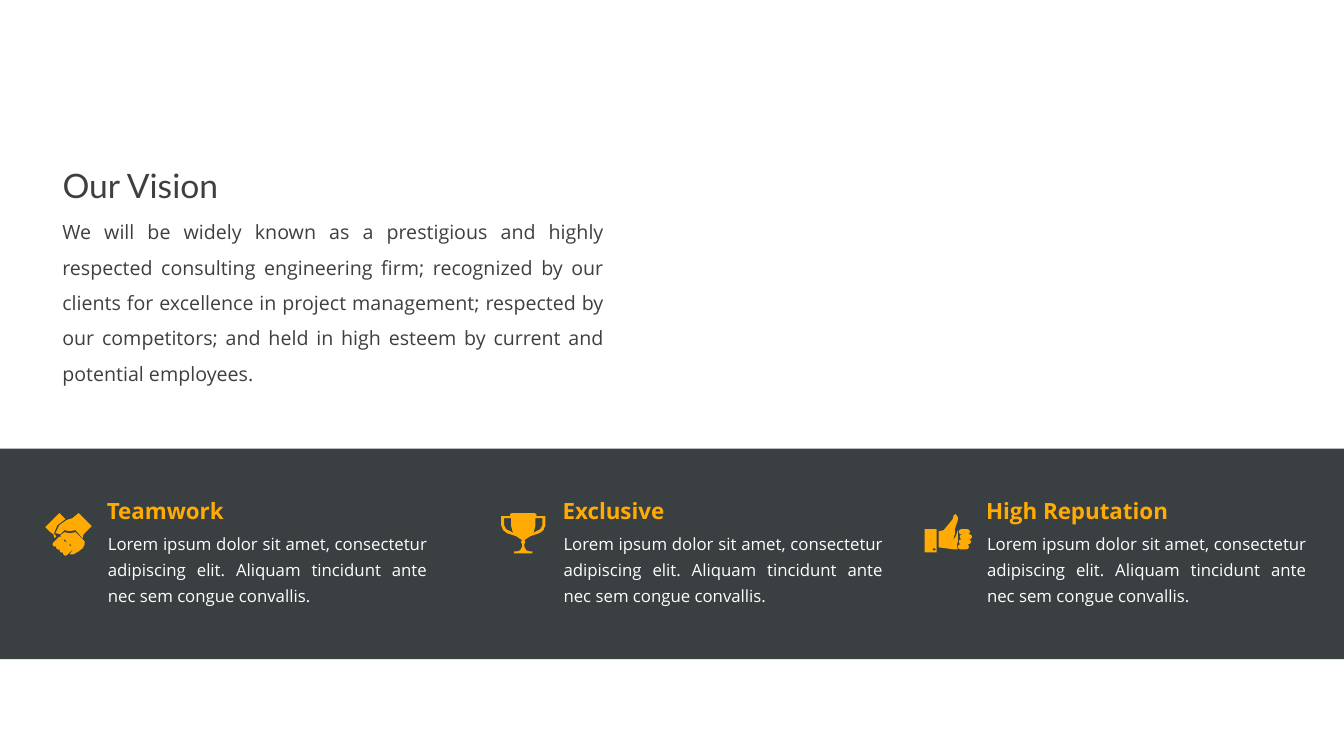
from math import atan2, cos, pi, sin

from lxml.etree import SubElement
from pptx import Presentation
from pptx.dml.color import RGBColor
from pptx.enum.shapes import MSO_SHAPE
from pptx.enum.text import MSO_ANCHOR, MSO_AUTO_SIZE, PP_ALIGN
from pptx.oxml.ns import qn
from pptx.util import Inches, Pt

COLORS = {"ink": "3F3F3F", "band": "181E20", "accent": "FFAB03", "white": "FFFFFF"}
TITLE = "Our Vision"
VISION = (
    "We will be widely known as a prestigious and highly respected consulting "
    "engineering firm; recognized by our clients for excellence in project "
    "management; respected by our competitors; and held in high esteem by "
    "current and potential employees."
)
DETAIL = (
    "Lorem ipsum dolor sit amet, consectetur adipiscing elit. "
    "Aliquam tincidunt ante nec sem congue convallis."
)
VALUES = [
    ("Teamwork", 0.93, "handshake"),
    ("Exclusive", 5.45, "trophy"),
    ("High Reputation", 9.65, "thumb"),
]

BAND_TOP, BAND_HEIGHT = 4.45, 2.09
HEADING_TOP, DETAIL_TOP, ICON_TOP = 4.93, 5.16, 5.09
DETAIL_SHIFT, ICON_SHIFT = 0.01, -0.48
ICON_UNIT = 0.01
ICON_PRECISION = 10


def color(name):
    return RGBColor.from_string(COLORS[name])


def box(left, top, right, bottom):
    return [(left, top), (right, top), (right, bottom), (left, bottom)]


def mirrored(points, axis):
    return [(2 * axis - x, y) for x, y in reversed(points)]


def capsule(start, end, radius, steps=6):
    heading = atan2(end[1] - start[1], end[0] - start[0])
    outline = []
    for (x, y), first_angle in ((end, heading - pi / 2), (start, heading + pi / 2)):
        for step in range(steps + 1):
            angle = first_angle + pi * step / steps
            outline.append((x + radius * cos(angle), y + radius * sin(angle)))
    return outline


def handshake():
    left_sleeve = [(0, 14), (14, 0), (20, 6), (12, 12), (9, 19), (9, 21),
                   (11, 23), (9, 25), (8, 21), (5, 19)]
    upper_hand = [(33, 0), (27, 5), (21, 7), (14, 12), (10, 20), (15, 21),
                  (19, 17), (24, 18), (30, 17), (37, 25), (38, 21), (46, 13)]
    lower_hand = [(30, 19), (24, 20), (19, 19), (15, 22), (19, 28), (24, 30),
                  (28, 34), (27, 37), (24, 41), (28, 41), (33, 38), (37, 35),
                  (39, 31), (39, 28)]
    knuckles = [(15 + 3.5 * i, 25.5 + 3 * i) for i in range(4)]
    fingers = [capsule((x, y), (x - 5.5, y + 5.5), 2.3) for x, y in knuckles]
    return [left_sleeve, upper_hand, lower_hand, *fingers]


def trophy():
    axis = 22
    left_half = [(axis, 0), (11, 0), (9, 1), (9, 3), (0, 3), (0, 12), (2, 17),
                 (6, 20), (15, 23), (21, 27), (20, 28), (20, 30), (21, 30),
                 (21, 33), (19, 37), (16, 38), (13, 38), (13, 40), (axis, 40)]
    handle_gap = [(11, 19), (5, 16), (3, 12), (3, 5), (10, 5), (10, 13), (12, 20)]
    return [left_half + mirrored(left_half, axis), handle_gap,
            mirrored(handle_gap, axis)]


def thumb():
    cuff, button = box(0, 16, 12, 39), capsule((9, 36), (10, 36), 1)
    hand = [(14, 18), (19, 17), (28, 6), (29, 2), (31, 1), (33, 4), (33, 7),
            (30, 16), (30, 21), (28, 27), (31, 23), (33, 17), (33, 28),
            (32, 33), (33, 36), (29, 36), (14, 34)]
    finger_spans = [(34, 45), (35, 47), (34, 46), (33, 44)]
    radius = 2.45
    fingers = []
    for row, (left, right) in enumerate(finger_spans):
        y = 18.5 + 5 * row
        fingers.append(capsule((left + radius, y), (right - radius, y), radius))
    return [cuff, button, hand, *fingers]


ICONS = {"handshake": handshake, "trophy": trophy, "thumb": thumb}


def write(shape, text, size, font, ink, bold=False, spacing=1.0,
          align=PP_ALIGN.LEFT, anchor=MSO_ANCHOR.TOP, insets=(0.1, 0.05)):
    frame = shape.text_frame
    frame.word_wrap = True
    frame.auto_size = MSO_AUTO_SIZE.NONE
    frame.vertical_anchor = anchor
    frame.margin_left = frame.margin_right = Inches(insets[0])
    frame.margin_top = frame.margin_bottom = Inches(insets[1])
    paragraph = frame.paragraphs[0]
    paragraph.alignment = align
    paragraph.line_spacing = spacing
    run = paragraph.add_run()
    run.text = text
    run.font.size = Pt(size)
    run.font.name = font
    run.font.bold = bold
    run.font.color.rgb = color(ink)


def paint(shape, fill, opacity=100):
    shape.shadow.inherit = False
    shape.fill.solid()
    shape.fill.fore_color.rgb = color(fill)
    shape.line.fill.background()
    if opacity < 100:
        fill_color = next(shape.element.iter(qn("a:srgbClr")))
        SubElement(fill_color, qn("a:alpha"), val=str(opacity * 1000))


def draw_icon(shapes, contours, left, top):
    first, *others = [
        [(x * ICON_PRECISION, y * ICON_PRECISION) for x, y in contour]
        for contour in contours
    ]
    builder = shapes.build_freeform(*first[0], scale=Inches(ICON_UNIT) / ICON_PRECISION)
    builder.add_line_segments(first[1:])
    for contour in others:
        builder.move_to(*contour[0])
        builder.add_line_segments(contour[1:])
    paint(builder.convert_to_shape(Inches(left), Inches(top)), "accent")


def main():
    deck = Presentation()
    deck.slide_width, deck.slide_height = Inches(13.33), Inches(7.5)
    slide = deck.slides.add_slide(deck.slide_layouts[5])
    shapes = slide.shapes

    def text_box(left, top, width, height):
        return shapes.add_textbox(*map(Inches, (left, top, width, height)))

    title = shapes.title
    title.left, title.top = Inches(0.52), Inches(1.59)
    title.width, title.height = Inches(4.33), Inches(0.5)
    write(title, TITLE, 24, "Lato", "ink")
    write(text_box(0.52, 2.02, 5.57, 1.66), VISION, 14, "Open Sans", "ink",
          spacing=1.5, align=PP_ALIGN.JUSTIFY)

    band = shapes.add_shape(MSO_SHAPE.RECTANGLE, 0, Inches(BAND_TOP),
                            deck.slide_width, Inches(BAND_HEIGHT))
    paint(band, "band", opacity=85)

    for heading, left, icon in VALUES:
        write(text_box(left, HEADING_TOP, 2.67, 0.27), heading, 16, "Open Sans",
              "accent", bold=True, anchor=MSO_ANCHOR.MIDDLE, insets=(0.13, 0))
        write(text_box(left + DETAIL_SHIFT, DETAIL_TOP, 3.43, 0.92), DETAIL, 12,
              "Open Sans", "white", spacing=1.3, align=PP_ALIGN.JUSTIFY,
              anchor=MSO_ANCHOR.MIDDLE, insets=(0.13, 0.07))
        draw_icon(shapes, ICONS[icon](), left + ICON_SHIFT, ICON_TOP)

    deck.save("out.pptx")


if __name__ == "__main__":
    main()
